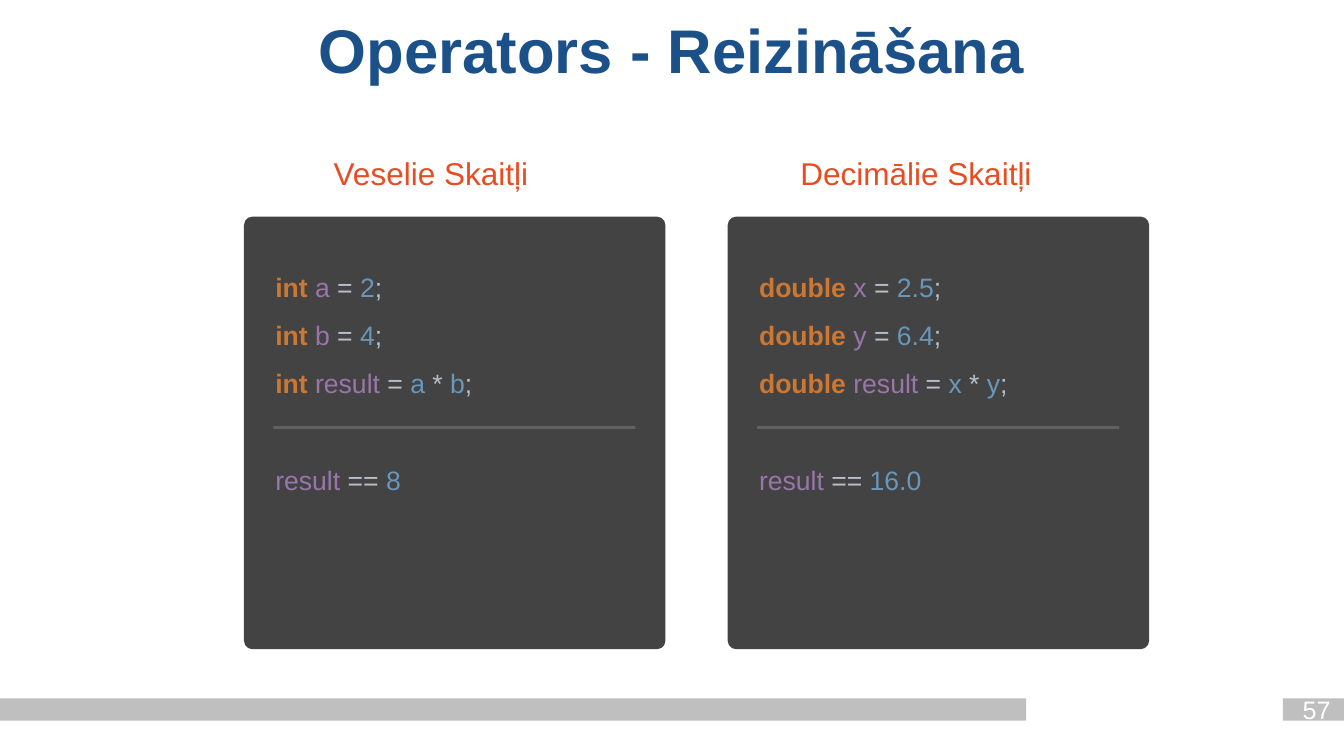
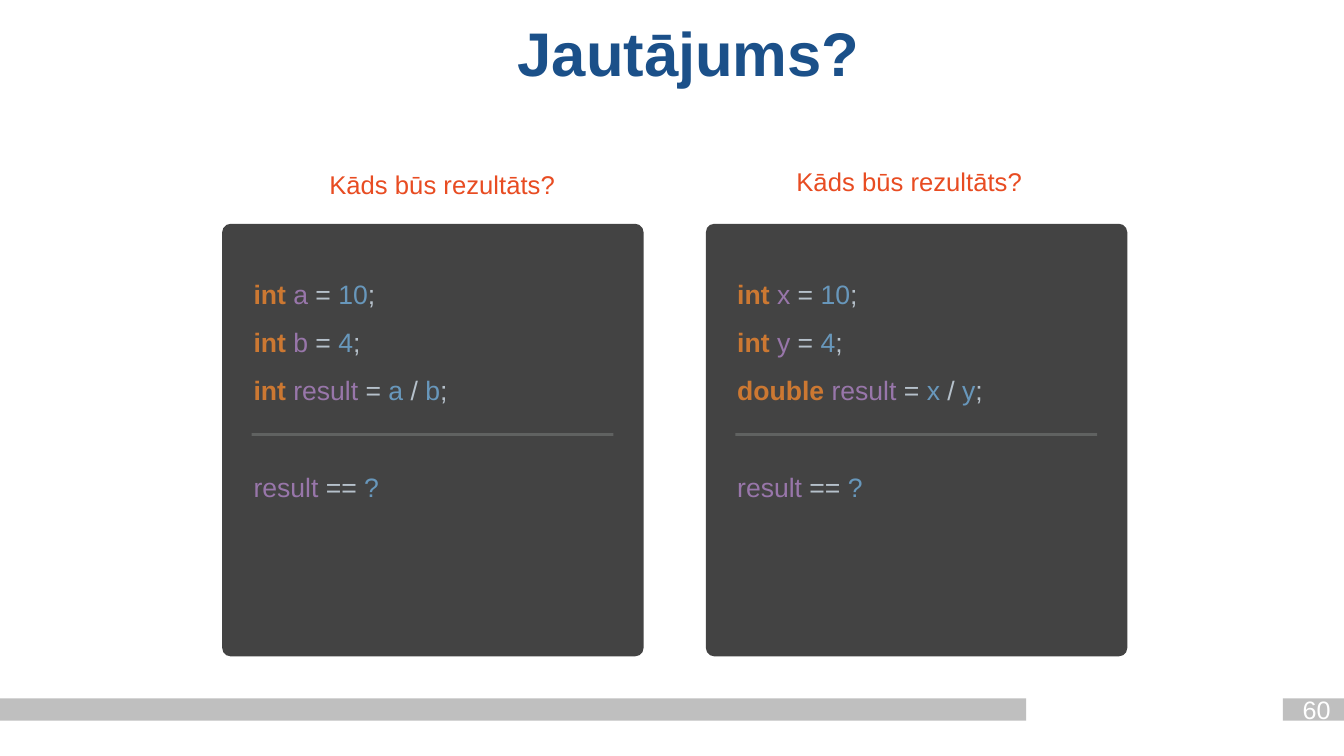
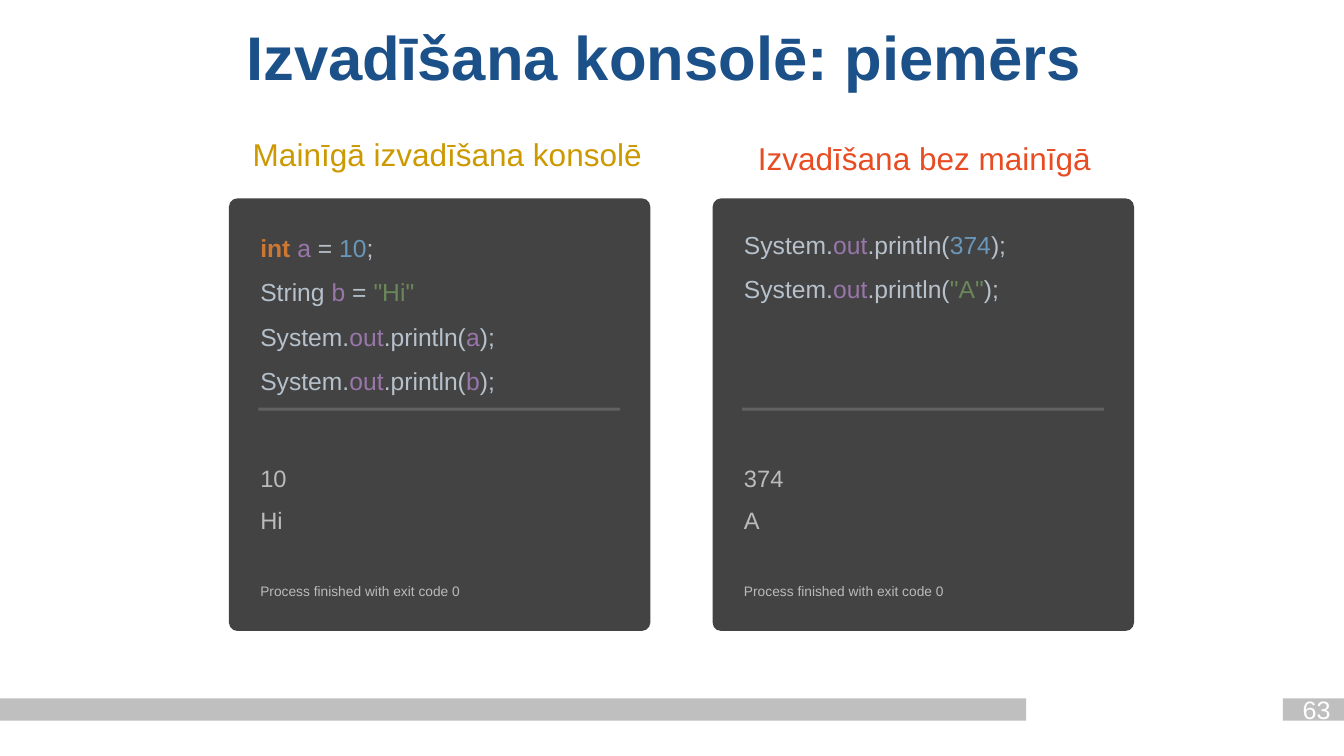
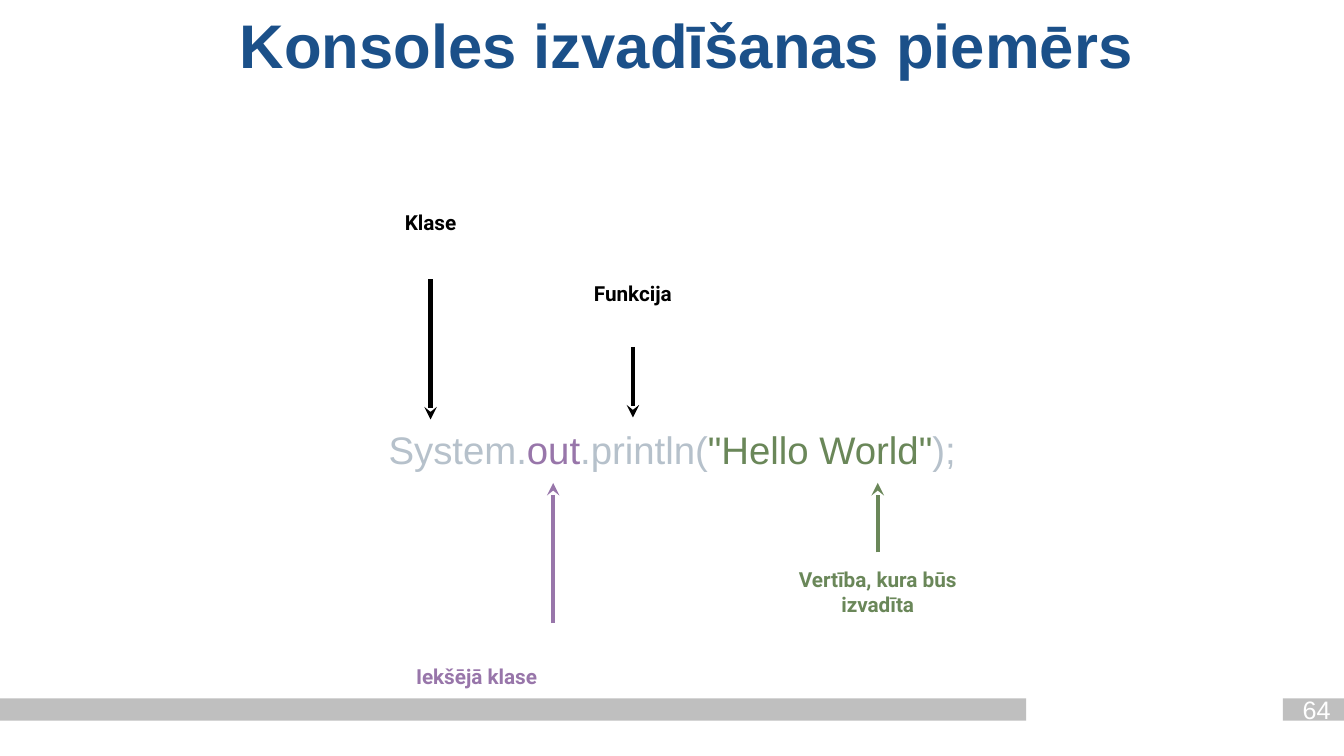
from dataclasses import dataclass

from lxml import etree
from pptx import Presentation
from pptx.dml.color import RGBColor
from pptx.enum import shapes, text
from pptx.oxml import ns
from pptx.util import Cm, Pt

TITLE_BLUE = RGBColor(0x1B, 0x50, 0x89)
BAND_GREY = RGBColor(0xBF, 0xBF, 0xBF)
WHITE = RGBColor(0xFF, 0xFF, 0xFF)
BLACK = RGBColor(0x00, 0x00, 0x00)
PANEL_DARK = RGBColor(0x43, 0x43, 0x43)
RULE_GREY = RGBColor(0xA6, 0xAA, 0xA9)
ORANGE = RGBColor(0xE8, 0x4C, 0x22)
GOLD = RGBColor(0xCC, 0x99, 0x00)
KEYWORD = RGBColor(0xCC, 0x78, 0x32)
NAME = RGBColor(0x98, 0x76, 0xAA)
PLAIN = RGBColor(0xB6, 0xC1, 0xCB)
NUMBER = RGBColor(0x68, 0x97, 0xBB)
STRING = RGBColor(0x6A, 0x87, 0x59)
CONSOLE = RGBColor(0xBB, 0xBB, 0xBB)

# All positions below are centimetres.
PANEL_WIDTH, PANEL_HEIGHT, PANEL_PITCH = 10.62, 10.9, 12.19
CODE_LEFT, CODE_WIDTH = 0.69, 9.25
RULE_LEFT, RULE_RIGHT, RULE_TOP = 0.74, 9.86, 5.31


@dataclass
class Panel:
    """A code panel; heading_box and the other boxes are relative to the panel."""
    heading: str
    heading_box: tuple
    code: list
    output: list
    heading_size: float = 22.5
    heading_color: RGBColor = ORANGE
    code_size: float = 19
    code_top: float = 0.84
    code_height: float = 3.86
    output_size: float = 19
    output_top: float = 5.72
    output_height: float = 1.42
    exit_line: str = ""


def declaration(kind, name, *value, end=";"):
    """Runs of "kind name = value;"."""
    return [(f"{kind} ", PLAIN if kind == "String" else KEYWORD),
            (name, NAME), (" = ", PLAIN), *value, (end, PLAIN)]


def operation(kind, left, sign, right):
    return declaration(kind, "result", (f"{left} ", NUMBER), (sign, PLAIN),
                       (f" {right}", NUMBER))


def comparison(value):
    return [("result", NAME), (" == ", PLAIN), (value, NUMBER)]


def println(argument, color):
    return [("System.", PLAIN), ("out", NAME), (".println(", PLAIN),
            (argument, color), (");", PLAIN)]


def add_text(slide, box, lines, size, align=text.PP_ALIGN.LEFT, spacing=1.0,
             font="Arial", bold=False):
    """Add lines, each a list of (words, colour) runs, and return the paragraphs."""
    frame = slide.shapes.add_textbox(*map(Cm, box)).text_frame
    frame.word_wrap = True
    frame.vertical_anchor = text.MSO_ANCHOR.MIDDLE
    frame.margin_left = frame.margin_right = Cm(0.1)
    frame.margin_top = frame.margin_bottom = Cm(0.1)
    for index, runs in enumerate(lines):
        paragraph = frame.add_paragraph() if index else frame.paragraphs[0]
        paragraph.alignment = align
        paragraph.line_spacing = spacing
        for words, color in runs:
            run = paragraph.add_run()
            run.text = words
            run.font.name = font
            run.font.size = Pt(size)
            run.font.bold = bold or color == KEYWORD
            run.font.color.rgb = color
    return frame.paragraphs


def add_block(slide, preset, box, color):
    block = slide.shapes.add_shape(preset, *map(Cm, box))
    block.shadow.inherit = False
    block.fill.solid()
    block.fill.fore_color.rgb = color
    block.line.fill.background()
    return block


def add_line(slide, start, end, color, width):
    """Add a shadowless straight line and return its a:ln element."""
    line = slide.shapes.add_connector(shapes.MSO_CONNECTOR.STRAIGHT,
                                      *map(Cm, start + end))
    line.line.color.rgb = color
    line.line.width = Pt(width)
    properties = line._element.spPr
    etree.SubElement(properties, ns.qn("a:effectLst"))
    return properties.find(ns.qn("a:ln"))


def add_base_slide(deck, title, title_left, title_top, number):
    """Add a blank slide with the footer bands, page number and title."""
    slide = deck.slides.add_slide(deck.slide_layouts[6])
    for left, width in ((0, 25.86), (32.33, 1.54)):
        add_block(slide, shapes.MSO_SHAPE.RECTANGLE, (left, 17.6, width, 0.56),
                  BAND_GREY)
    add_text(slide, (32.5, 17.5, 1.36, 0.73), [[(number, WHITE)]], 18,
             text.PP_ALIGN.CENTER)
    add_text(slide, (title_left, title_top, 32.54, 2.21), [[(title, TITLE_BLUE)]],
             44, text.PP_ALIGN.CENTER, spacing=0.9, bold=True)
    return slide


def add_panel(slide, left, top, panel):
    body = add_block(slide, shapes.MSO_SHAPE.ROUNDED_RECTANGLE,
                     (left, top, PANEL_WIDTH, PANEL_HEIGHT), PANEL_DARK)
    body.adjustments[0] = 0.02
    dx, dy, width, height = panel.heading_box
    add_text(slide, (left + dx, top + dy, width, height),
             [[(panel.heading, panel.heading_color)]], panel.heading_size)
    add_text(slide, (left + CODE_LEFT, top + panel.code_top, CODE_WIDTH,
                     panel.code_height), panel.code, panel.code_size, spacing=1.5)
    rule = add_line(slide, (left + RULE_LEFT, top + RULE_TOP),
                    (left + RULE_RIGHT, top + RULE_TOP), RULE_GREY, 2)
    etree.SubElement(next(rule.iter(ns.qn("a:srgbClr"))), ns.qn("a:alpha"),
                     val="30000")
    output = list(panel.output)
    if panel.exit_line:
        output.append([(panel.exit_line, CONSOLE)])
    paragraphs = add_text(slide, (left + CODE_LEFT, top + panel.output_top,
                                  CODE_WIDTH, panel.output_height),
                          output, panel.output_size, spacing=1.5)
    if panel.exit_line:
        paragraphs[-1].space_before = Pt(29)
        paragraphs[-1].runs[0].font.size = Pt(9.8)


def add_panels(slide, left, top, panels):
    for column, panel in enumerate(panels):
        add_panel(slide, left + column * PANEL_PITCH, top, panel)


def add_callout(slide, label, color, x, tail, tip, label_top, width=6.32,
                height=0.84, shift=0):
    """Add a vertical arrow at x and its label, centred on x plus shift."""
    arrow = add_line(slide, (x, tail), (x, tip), color, 3)
    etree.SubElement(arrow, ns.qn("a:tailEnd"), type="stealth")
    add_text(slide, (x + shift - width / 2, label_top, width, height),
             [[(label, color)]], 14.8, text.PP_ALIGN.CENTER, font="Roboto", bold=True)


def add_multiplication(deck):
    slide = add_base_slide(deck, "Operators - Reizināšana", 0.66, 0.25, "57")
    add_panels(slide, 6.15, 5.46, [
        Panel("Veselie Skaitļi", (2.16, -1.68, 5.18, 1.17),
              [declaration("int", "a", ("2", NUMBER)),
               declaration("int", "b", ("4", NUMBER)),
               operation("int", "a", "*", "b")],
              [comparison("8")]),
        Panel("Decimālie Skaitļi", (1.73, -1.68, 6.22, 1.17),
              [declaration("double", "x", ("2.5", NUMBER)),
               declaration("double", "y", ("6.4", NUMBER)),
               operation("double", "x", "*", "y")],
              [comparison("16.0")]),
    ])


def add_question(deck):
    slide = add_base_slide(deck, "Jautājums?", 1.09, 0.33, "60")
    add_panels(slide, 5.6, 5.64, [
        Panel("Kāds būs rezultāts?", heading_box,
              [declaration("int", first, ("10", NUMBER)),
               declaration("int", second, ("4", NUMBER)),
               operation(kind, first, "/", second)],
              [comparison("?")], heading_size=18.3)
        for heading_box, kind, first, second in (
            ((2.6, -1.5, 5.92, 0.99), "int", "a", "b"),
            ((2.18, -1.58, 5.92, 0.99), "double", "x", "y"))
    ])


def add_console_example(deck):
    slide = add_base_slide(deck, "Izvadīšana konsolē: piemērs", 0.48, 0.43, "63")
    console = dict(code_size=17.6, output_size=16.9, output_top=6.17,
                   output_height=4.09, exit_line="Process finished with exit code 0")
    add_panels(slide, 5.77, 5, [
        Panel("Mainīgā izvadīšana konsolē", (0.5, -1.7, 10.03, 1.17),
              [declaration("int", "a", ("10", NUMBER)),
               declaration("String", "b", end='"Hi"')[:-1] + [('"Hi"', STRING)],
               println("a", NAME), println("b", NAME)],
              [[("10", CONSOLE)], [("Hi", CONSOLE)]],
              heading_color=GOLD, code_top=0.38, code_height=4.7, **console),
        Panel("Izvadīšana bez mainīgā", (1.04, -1.6, 10.03, 1.17),
              [println("374", NUMBER), println('"A"', STRING)],
              [[("374", CONSOLE)], [("A", CONSOLE)]],
              code_top=0.3, code_height=2.46, **console),
    ])


def add_statement_anatomy(deck):
    slide = add_base_slide(deck, "Konsoles izvadīšanas piemērs", 1.04, 0.13, "64")
    add_text(slide, (6.83, 10.64, 20.22, 1.37), [println('"Hello World"', STRING)],
             27.4, text.PP_ALIGN.CENTER)
    add_callout(slide, "Klase", BLACK, 10.85, 7.04, 10.57, 5.18)
    add_callout(slide, "Funkcija", BLACK, 15.95, 8.74, 10.52, 6.96)
    add_callout(slide, "Iekšējā klase", NAME, 13.94, 15.7, 12.17, 16.61,
                width=5.59, shift=-1.93)
    add_callout(slide, "Vertība, kura būs izvadīta", STRING, 22.12, 13.92, 12.17,
                14.17, width=5.59, height=1.47)


def main():
    deck = Presentation()
    deck.slide_width, deck.slide_height = Cm(33.87), Cm(19.05)
    add_multiplication(deck)
    add_question(deck)
    add_console_example(deck)
    add_statement_anatomy(deck)
    deck.save("out.pptx")


if __name__ == "__main__":
    main()
